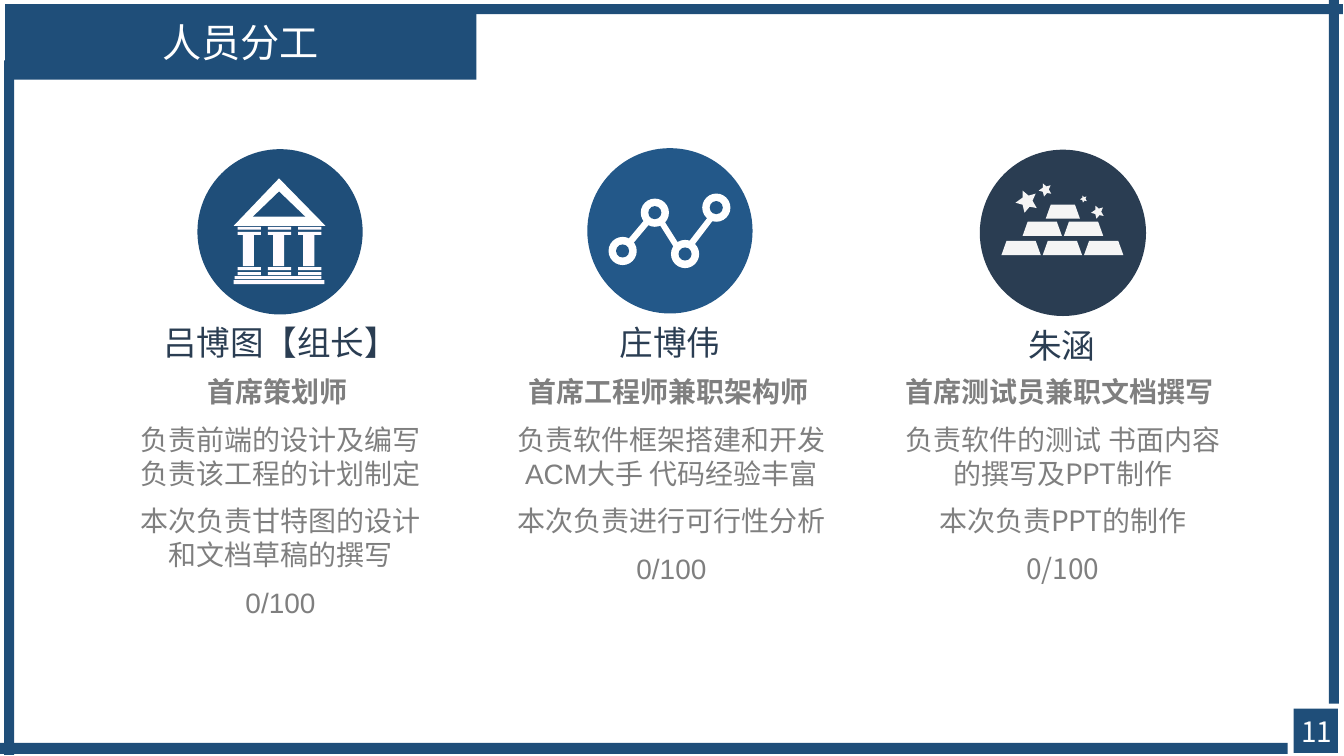
from dataclasses import dataclass

import pptx
import pptx.dml.color
import pptx.enum.shapes
import pptx.enum.text
import pptx.oxml
import pptx.oxml.ns
import pptx.util
from pptx.util import Inches

RGBColor = pptx.dml.color.RGBColor
Align = pptx.enum.text.PP_ALIGN
AutoSize = pptx.enum.text.MSO_AUTO_SIZE
Preset = pptx.enum.shapes.MSO_SHAPE
NAVY = RGBColor(0x1F, 0x4E, 0x79)
BLUE = RGBColor(0x23, 0x58, 0x89)
SLATE = RGBColor(0x2A, 0x3D, 0x52)
GREY = RGBColor(0x7F, 0x7F, 0x7F)
WHITE = RGBColor(0xFF, 0xFF, 0xFF)
COLUMN_WHITE = RGBColor(0xFF, 0xFB, 0xFF)
PALE = RGBColor(0xF5, 0xF5, 0xF5)
NOTO, ARIAL = "Noto Sans CJK SC", "Arial"

Box = tuple[float, float, float, float]
Point = tuple[float, float]


@dataclass(frozen=True)
class Member:
    name: str
    name_box: Box
    duty_box: Box
    duties: tuple[str, ...]
    font: str = ARIAL
    name_align: Align = Align.CENTER


MEMBERS = [
    Member("吕博图【组长】", (1.52, 3.14, 2.53, 0.5), (1.16, 3.67, 3.25, 2.52),
           ("首席策划师 ", "负责前端的设计及编写 负责该工程的计划制定",
            "本次负责甘特图的设计和文档草稿的撰写", "0/100"), name_align=Align.LEFT),
    Member("庄博伟", (6.04, 3.14, 1.22, 0.5), (4.94, 3.67, 3.45, 2.19),
           ("首席工程师兼职架构师 ", "负责软件框架搭建和开发 ACM大手 代码经验丰富",
            "本次负责进行可行性分析", "0/100")),
    Member("朱涵", (10.09, 3.17, 0.9, 0.5), (8.79, 3.67, 3.52, 2.19),
           ("首席测试员兼职文档撰写 ", "负责软件的测试 书面内容的撰写及PPT制作",
            "本次负责PPT的制作", "0/100"), font=NOTO),
]

FRAME_BARS: list[Box] = [
    (0.77, 0.04, 12.56, 0.1),
    (0, 7.37, 12.78, 0.11),
    (13.19, 0, 0.1, 6.98),
    (0.04, 0.6, 0.1, 6.89),
    (12.84, 7.03, 0.44, 0.44),
]

# Five-pointed star in a unit square
STAR: list[Point] = [(0.96, 0.79), (0.64, 0.73), (0.41, 1), (0.32, 0.64), (0, 0.55),
                     (0.32, 0.32), (0.32, 0), (0.59, 0.23), (0.91, 0.14), (0.77, 0.46)]


def paint(shape, color: RGBColor) -> None:
    shape.fill.solid()
    shape.fill.fore_color.rgb = color
    shape.line.fill.background()
    shape.shadow.inherit = False


def add_preset(shapes, preset: Preset, box: Box, color: RGBColor) -> None:
    paint(shapes.add_shape(preset, *map(Inches, box)), color)


def add_disc(shapes, center: Point, size: float, color: RGBColor) -> None:
    x, y = center
    add_preset(shapes, Preset.OVAL, (x - size / 2, y - size / 2, size, size), color)


def add_polygon(shapes, points: list[Point], color: RGBColor) -> None:
    corners = [(Inches(x), Inches(y)) for x, y in points]
    builder = shapes.build_freeform(*corners[0], scale=1.0)
    builder.add_line_segments(corners[1:], close=True)
    paint(builder.convert_to_shape(), color)


def add_span(para, text: str, *, size: float, color: RGBColor, font: str = NOTO,
             bold: bool = False, align: Align = Align.CENTER, before: float = 0) -> None:
    para.alignment = align
    para.space_before = pptx.util.Pt(before)
    span = para.add_run()
    span.text = text
    span.font.size = pptx.util.Pt(size)
    span.font.bold = bold
    span.font.name = font
    span.font.color.rgb = color
    east_asian = pptx.oxml.parse_xml(
        f'<a:ea {pptx.oxml.ns.nsdecls("a")} typeface="{NOTO}"/>')
    span.font._element.append(east_asian)


def add_text_frame(page, box: Box, wrap: bool):
    frame = page.shapes.add_textbox(*map(Inches, box)).text_frame
    frame.word_wrap = wrap
    frame.auto_size = AutoSize.SHAPE_TO_FIT_TEXT
    return frame


def draw_bank(page) -> None:
    shapes = page.shapes.add_group_shape().shapes
    add_disc(shapes, (2.78, 2.3), 1.64, NAVY)
    add_polygon(shapes, [(2.32, 2.24), (2.77, 1.77), (3.23, 2.24)], WHITE)
    add_polygon(shapes, [(2.51, 2.15), (2.77, 1.9), (3.03, 2.15)], NAVY)
    for left in (2.36, 2.66, 2.96):
        for top in (2.25, 2.3, 2.65, 2.7):
            add_preset(shapes, Preset.RECTANGLE, (left, top, 0.23, 0.03), COLUMN_WHITE)
        add_preset(shapes, Preset.RECTANGLE, (left + 0.05, 2.33, 0.11, 0.31), COLUMN_WHITE)
    for step in ((2.33, 2.74, 0.86, 0.03), (2.32, 2.78, 0.9, 0.04)):
        add_preset(shapes, Preset.RECTANGLE, step, COLUMN_WHITE)


def draw_network(page) -> None:
    shapes = page.shapes.add_group_shape().shapes
    add_disc(shapes, (6.65, 2.29), 1.64, BLUE)
    links = [
        [(7.15, 2.09), (6.8, 2.55), (6.75, 2.51), (7.1, 2.06)],
        [(6.77, 2.58), (6.46, 2.09), (6.51, 2.06), (6.82, 2.55)],
        [(6.07, 2.57), (6.44, 2.13), (6.49, 2.17), (6.12, 2.61)],
    ]
    for link in links:
        add_polygon(shapes, link, WHITE)
    for node in ((6.18, 2.49), (6.5, 2.11), (6.8, 2.52), (7.11, 2.06)):
        add_disc(shapes, node, 0.28, WHITE)
        add_disc(shapes, node, 0.13, BLUE)


def draw_ingots(page) -> None:
    shapes = page.shapes.add_group_shape().shapes
    add_disc(shapes, (10.55, 2.31), 1.65, SLATE)
    for left, top, size in ((10.08, 1.89, 0.22), (10.83, 2.04, 0.13),
                            (10.72, 1.94, 0.07), (10.31, 1.82, 0.13)):
        add_polygon(shapes, [(left + size * x, top + size * y) for x, y in STAR], PALE)
    for first, top, width, count in ((10.38, 2.03, 0.34, 1), (10.15, 2.2, 0.39, 2),
                                     (9.94, 2.39, 0.39, 3)):
        for index in range(count):
            left = first + 0.41 * index
            right, bottom = left + width, top + 0.14
            add_polygon(shapes, [(left + 0.05, top), (right - 0.05, top),
                                 (right, bottom), (left, bottom)], PALE)


def draw_member(page, member: Member) -> None:
    name = add_text_frame(page, member.name_box, wrap=False)
    add_span(name.paragraphs[0], member.name, size=24, color=SLATE,
             align=member.name_align)
    frame = add_text_frame(page, member.duty_box, wrap=True)
    for index, duty in enumerate(member.duties):
        para = frame.add_paragraph() if index else frame.paragraphs[0]
        add_span(para, duty, size=20, color=GREY, font=member.font,
                 bold=index == 0, before=10 if index else 0)


def draw_title(page) -> None:
    title = page.shapes.title
    title.left, title.top, title.width, title.height = map(Inches, (0.05, 0.04, 4.68, 0.75))
    title.fill.solid()
    title.fill.fore_color.rgb = NAVY
    frame = title.text_frame
    frame.auto_size = AutoSize.NONE
    frame.vertical_anchor = pptx.enum.text.MSO_ANCHOR.MIDDLE
    add_span(frame.paragraphs[0], "人员分工", size=28, color=WHITE)


def main() -> None:
    deck = pptx.Presentation()
    deck.slide_width, deck.slide_height = Inches(13.34), Inches(7.5)
    page = deck.slides.add_slide(deck.slide_layouts[5])
    # Title and icons
    draw_title(page)
    draw_bank(page)
    draw_network(page)
    draw_ingots(page)
    # Team columns
    for member in MEMBERS:
        draw_member(page, member)
    # Frame and page number
    for bar in FRAME_BARS:
        add_preset(page.shapes, Preset.RECTANGLE, bar, NAVY)
    number = add_text_frame(page, (12.3, 7.04, 1.54, 0.51), wrap=False)
    add_span(number.paragraphs[0], "11", size=20, color=WHITE)
    deck.save("out.pptx")


if __name__ == "__main__":
    main()
